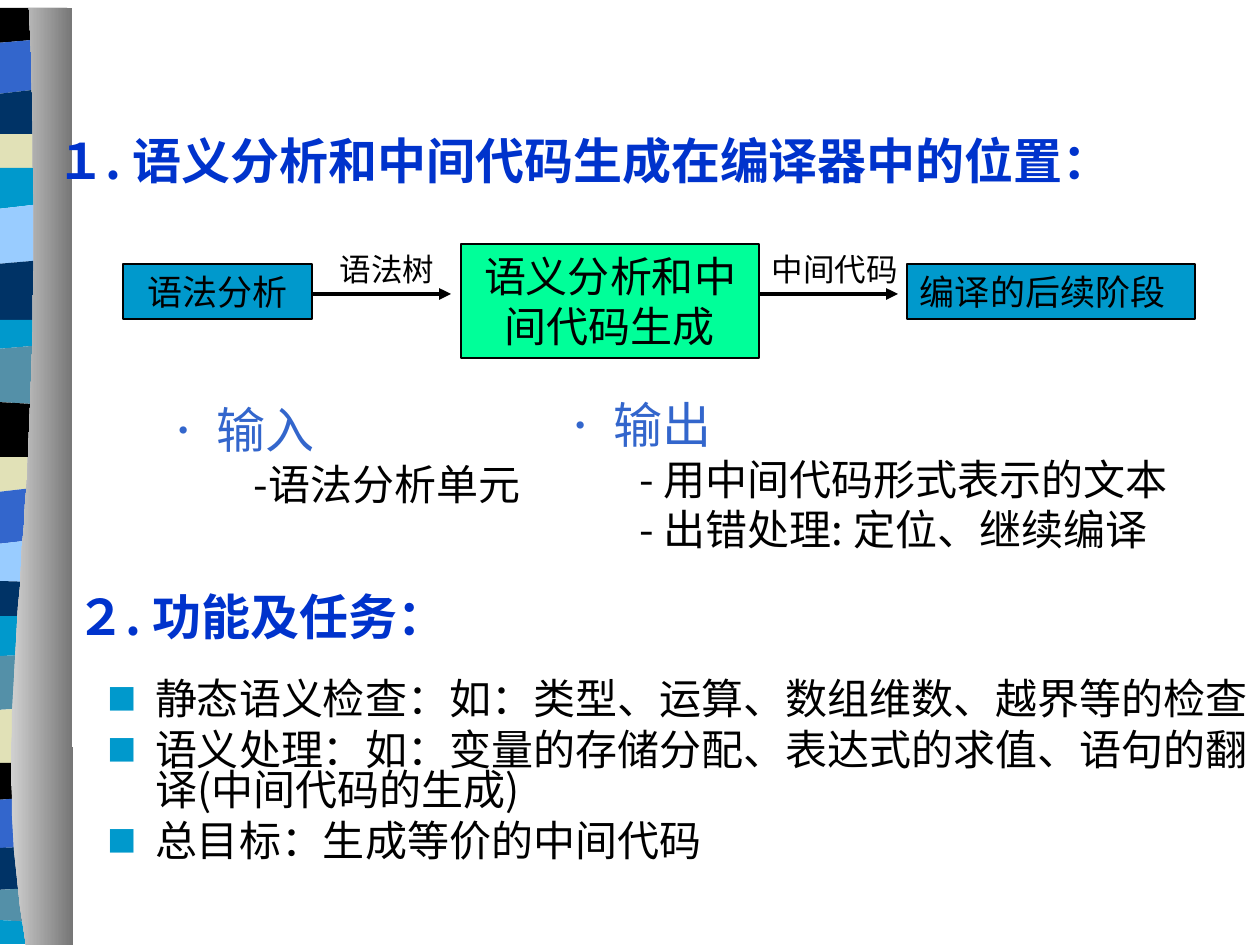
"""Build a slide on the place and tasks of semantic analysis in a compiler."""
from lxml.etree import SubElement
from pptx import Presentation
from pptx.dml.color import RGBColor
from pptx.enum.shapes import MSO_CONNECTOR as Connector, MSO_SHAPE as Shape
from pptx.enum.text import MSO_ANCHOR as Anchor, PP_ALIGN as Align
from pptx.oxml.ns import qn
from pptx.util import Pt

PX = 914400 / 126
FONT = "Noto Sans CJK SC"
BLACK, BLUE, NAVY, CYAN = "000000", "3366CC", "003366", "0099CC"
CREAM, SKY, TEAL, HEADING = "E1E1B7", "99CCFF", "5490A8", "0033CC"
color = RGBColor.from_string


def px(*lengths):
    return [round(length * PX) for length in lengths]


def write(shape, lines, anchor=Anchor.MIDDLE, align=Align.LEFT, leading=1.2, gap=0):
    """Fill a shape with (text, size, color, bold, margin, hanging, bullet) lines."""
    frame = shape.text_frame
    frame.word_wrap = True
    frame.vertical_anchor = anchor
    frame.margin_left, frame.margin_right = px(13, 13)
    frame.margin_top, frame.margin_bottom = px(6, 6)
    for index, (text, size, ink, bold, margin, hanging, bullet) in enumerate(lines):
        paragraph = frame.paragraphs[0] if index == 0 else frame.add_paragraph()
        properties = paragraph._p.get_or_add_pPr()
        properties.set("marL", str(px(margin)[0]))
        properties.set("indent", str(px(-hanging)[0]))
        if bullet:
            mark, mark_color = bullet
            holder = SubElement(properties, qn("a:buClr"))
            SubElement(holder, qn("a:srgbClr"), val=mark_color)
            SubElement(properties, qn("a:buSzPct"), val="70000")
            SubElement(properties, qn("a:buFont"), typeface=FONT)
            SubElement(properties, qn("a:buChar"), char=mark)
        else:
            SubElement(properties, qn("a:buNone"))
        paragraph.alignment = align
        paragraph.line_spacing = Pt(round(size * leading, 1))
        paragraph.space_before = Pt(gap if index else 0)
        run = paragraph.add_run()
        run.text = text
        run.font.size, run.font.bold, run.font.name = Pt(size), bold, FONT
        run.font.color.rgb = color(ink)
        SubElement(run._r.get_or_add_rPr(), qn("a:ea"), typeface=FONT)


presentation = Presentation()
presentation.slide_width, presentation.slide_height = px(1260, 945)
slide = presentation.slides.add_slide(presentation.slide_layouts[5])
shapes = slide.shapes

bands = [
    (BLACK, 8, 0), (BLUE, 43, 3), (NAVY, 94, 4), (CREAM, 134, 0), (CYAN, 168, 0),
    (SKY, 209, 4), (NAVY, 264, 3), (CYAN, 320, 0), (TEAL, 349, 3), (BLACK, 402, -2),
    (CREAM, 457, 0), (BLUE, 492, 4), (SKY, 544, 4), (NAVY, 581, -1), (CYAN, 616, 0),
    (TEAL, 656, 1), (CREAM, 710, 2), (BLACK, 763, 0), (BLUE, 800, 3), (NAVY, 848, 1),
    (TEAL, 890, 2), (CYAN, 920, -2),
]
ribbon_left, ribbon_right = -72, 67
ends = bands[1:] + [(None, 944, 0)]
outlines = []
for (fill, top, tilt), (_, bottom, next_tilt) in zip(bands, ends):
    outlines.append((fill, [
        (ribbon_left, top + 2 * tilt), (ribbon_right, top - 2 * tilt),
        (ribbon_right, bottom - 2 * next_tilt), (ribbon_left, bottom + 2 * next_tilt),
    ]))

steps = 40
curve = []
for step in range(steps + 1):
    t = step / steps
    weights = [(1 - t) ** 3, 3 * t * (1 - t) ** 2, 3 * t * t * (1 - t), t ** 3]
    curve.append((
        round(sum(w * x for w, x in zip(weights, (26, -18, 52, 29))), 2),
        round(sum(w * y for w, y in zip(weights, (945, 674, 575, 8))), 2),
    ))
outlines.append((None, curve + [(72, 8), (73, 945)]))

for fill, points in outlines:
    builder = shapes.build_freeform(*points[0], scale=PX)
    builder.add_line_segments(points[1:], close=True)
    shape = builder.convert_to_shape()
    shape.shadow.inherit = False
    shape.line.fill.background()
    if fill:
        shape.fill.solid()
        shape.fill.fore_color.rgb = color(fill)
    else:
        shape.fill.gradient()
        shape.fill.gradient_angle = 0
        for stop, shade in zip(shape.fill.gradient_stops, ("D0D0D0", "767676")):
            stop.color.rgb = color(shade)

title = shapes.title
shapes._spTree.append(title._element)
title.left, title.top, title.width, title.height = px(44, 106, 1134, 107)
write(title, [("１. 语义分析和中间代码生成在编译器中的位置：", 28, HEADING, True, 0, 0, None)])

stages = [
    ("语法分析", 20, CYAN, Align.CENTER, (123, 264, 189, 55)),
    ("语义分析和中间代码生成", 24, "00FF99", Align.CENTER, (461, 244, 298, 114)),
    ("编译的后续阶段", 20, CYAN, Align.LEFT, (907, 264, 288, 55)),
]
for text, size, fill, align, box in stages:
    stage = shapes.add_shape(Shape.RECTANGLE, *px(*box))
    stage.shadow.inherit = False
    stage.fill.solid()
    stage.fill.fore_color.rgb = color(fill)
    stage.line.color.rgb = color(BLACK)
    stage.line.width = Pt(1)
    write(stage, [(text, size, BLACK, False, 0, 0, None)], align=align)

for start, end in ((312, 451), (759, 898)):
    arrow = shapes.add_connector(Connector.STRAIGHT, *px(start, 294, end, 294))
    arrow.line.color.rgb = color(BLACK)
    arrow.line.width = Pt(2.25)
    SubElement(arrow.line._get_or_add_ln(), qn("a:tailEnd"), type="triangle")
    SubElement(arrow._element.spPr, qn("a:effectLst"))

dot = ("•", BLUE)
texts = [
    ((323, 244, 128, 50), Align.CENTER, [("语法树", 18, BLACK, False, 0, 0, None)]),
    ((759, 244, 159, 50), Align.LEFT, [("中间代码", 18, BLACK, False, 0, 0, None)]),
    ((64, 562, 912, 107), Align.LEFT, [("２. 功能及任务：", 28, HEADING, True, 0, 0, None)]),
    ((154, 393, 417, 122), Align.LEFT, [
        ("输入", 28, BLUE, False, 50, 50, dot),
        ("-语法分析单元", 24, BLACK, False, 126, 39, None),
    ]),
    ((551, 388, 675, 173), Align.LEFT, [
        ("输出", 28, BLUE, False, 50, 50, dot),
        ("- 用中间代码形式表示的文本", 24, BLACK, False, 76, 0, None),
        ("- 出错处理: 定位、继续编译", 24, BLACK, False, 76, 0, None),
    ]),
]
for box, align, lines in texts:
    write(shapes.add_textbox(*px(*box)), lines, align=align)

tasks = [
    "静态语义检查：如：类型、运算、数组维数、越界等的检查",
    "语义处理：如：变量的存储分配、表达式的求值、语句的翻译(中间代码的生成)",
    "总目标：生成等价的中间代码",
]
body = shapes.add_textbox(*px(94, 677, 1166, 267))
square = ("■", CYAN)
write(body, [(task, 24, BLACK, False, 48, 48, square) for task in tasks],
      anchor=Anchor.TOP, leading=0.96, gap=6)
body.text_frame.margin_right = 0

presentation.save("out.pptx")
